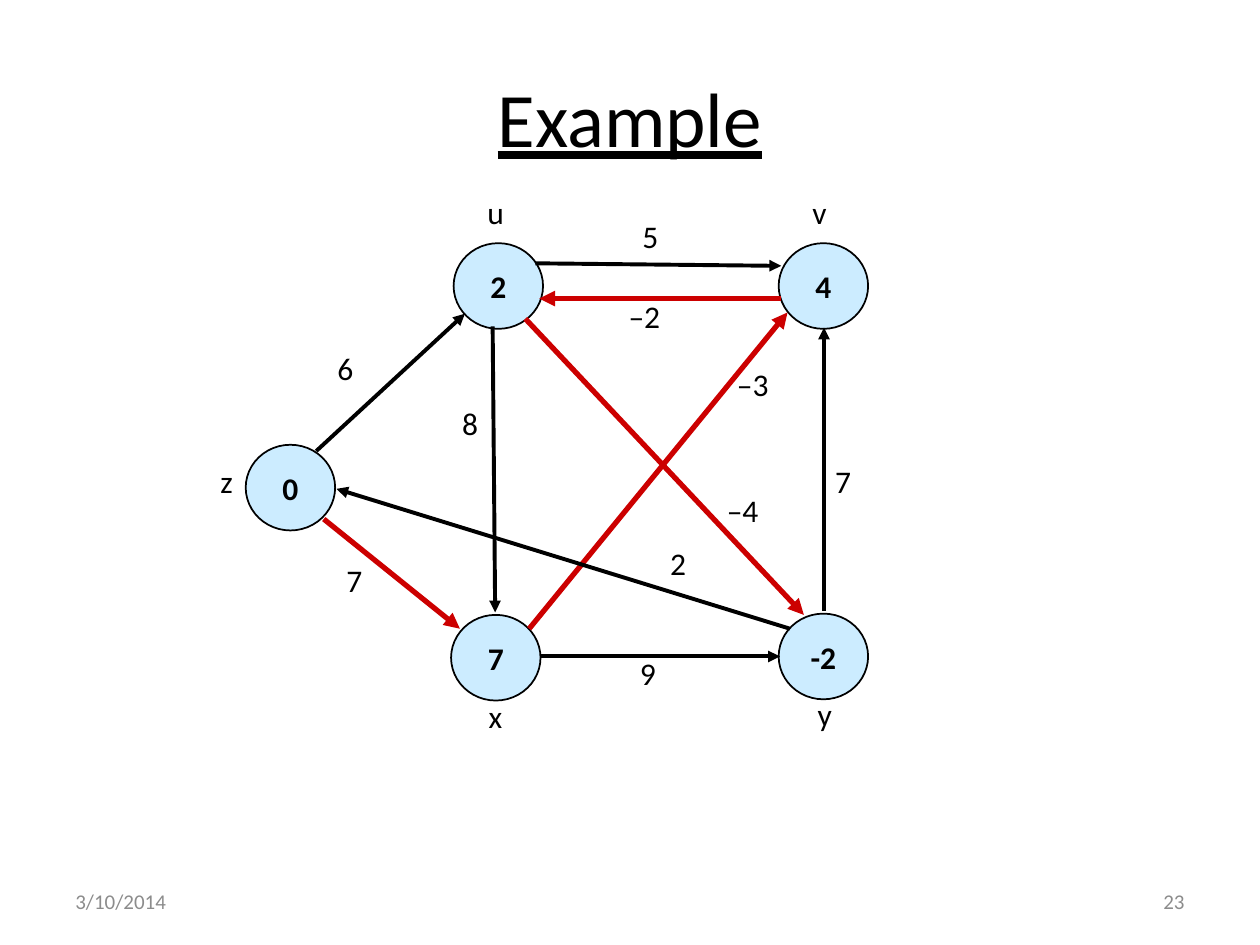
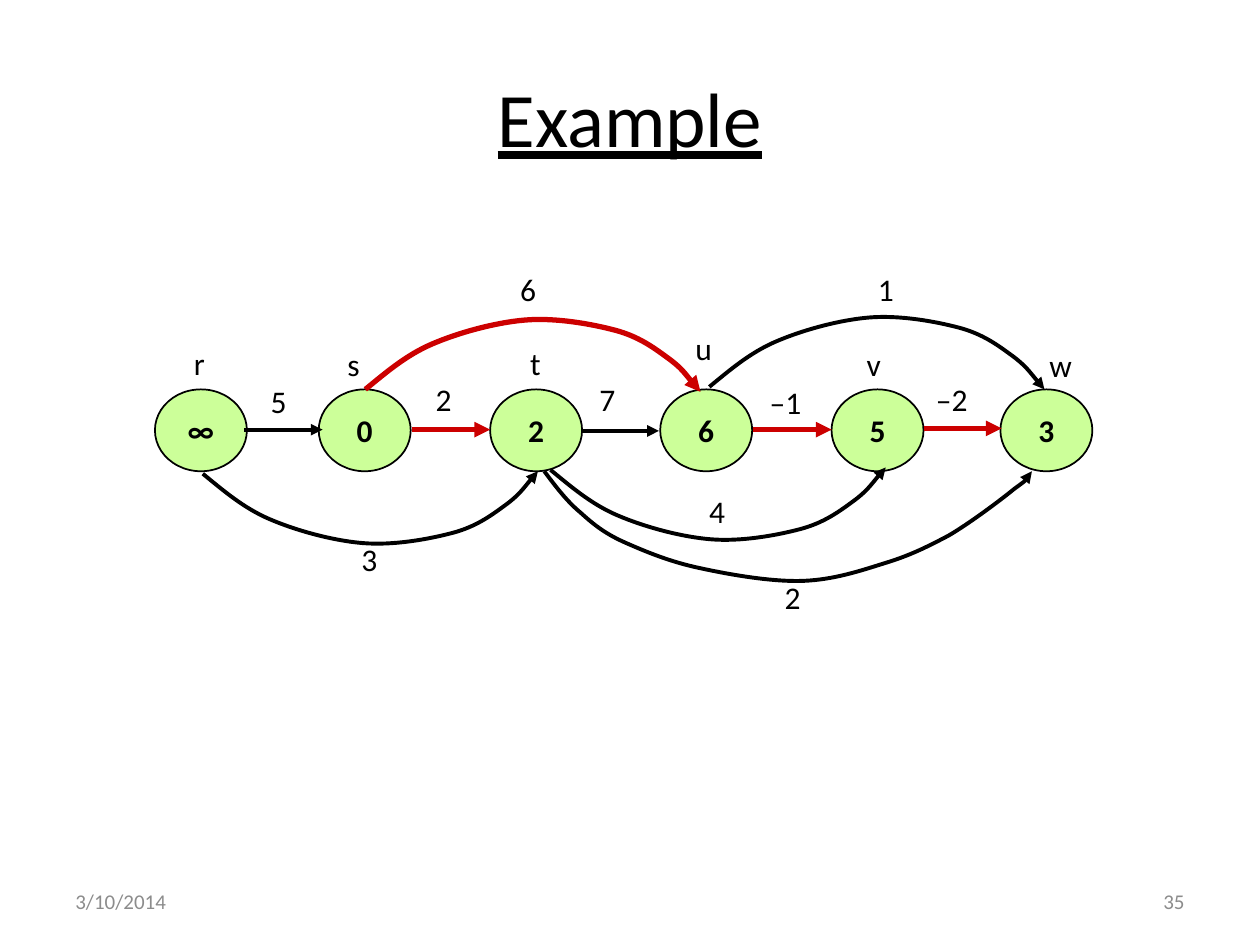
from dataclasses import dataclass
from typing import Any

from lxml.etree import SubElement
from pptx import Presentation
from pptx.dml.color import RGBColor
from pptx.enum.shapes import MSO_CONNECTOR, MSO_SHAPE
from pptx.enum.text import MSO_ANCHOR, MSO_AUTO_SIZE, PP_ALIGN
from pptx.oxml.ns import qn
from pptx.util import Inches, Pt

# Shared look
FONT = "Calibri"
BLACK, RED, GREY = "000000", "CC0000", "8C8C8C"
BLUE_NODE, GREEN_NODE = "CCECFF", "CCFF99"
TITLE = "Example"
DATE = "3/10/2014"

# Long arc over the chain, as offsets from its start: one point, then cubic triples
ARC = [(0, 0), (0.16, -0.13), (0.32, -0.27), (0.53, -0.36),
       (0.74, -0.45), (1.03, -0.53), (1.27, -0.55),
       (1.51, -0.57), (1.79, -0.52), (1.98, -0.47),
       (2.17, -0.42), (2.29, -0.33), (2.4, -0.25),
       (2.51, -0.17), (2.58, -0.07), (2.66, 0.02)]
# Widest curve, under the chain from t to w
T_TO_W = [(4.32, 3.74), (4.41, 3.86), (4.5, 3.98), (4.61, 4.07),
          (4.72, 4.17), (4.81, 4.24), (4.97, 4.31),
          (5.13, 4.38), (5.32, 4.46), (5.56, 4.51),
          (5.79, 4.56), (6.13, 4.62), (6.38, 4.61),
          (6.62, 4.6), (6.83, 4.53), (7.02, 4.47),
          (7.22, 4.41), (7.36, 4.34), (7.53, 4.25),
          (7.7, 4.15), (7.94, 3.97), (8.05, 3.88),
          (8.16, 3.8), (8.18, 3.77), (8.19, 3.74)]


@dataclass(frozen=True)
class Node:
    distance: str
    left: float
    top: float


@dataclass(frozen=True)
class Edge:
    start: tuple[float, float]
    end: tuple[float, float]
    chosen: bool = False


@dataclass(frozen=True)
class Curve:
    points: list[tuple[float, float]]
    chosen: bool = False


@dataclass(frozen=True)
class Label:
    text: str
    left: float
    top: float
    width: float = 0.37


def rgb(color: str) -> RGBColor:
    return RGBColor.from_string(color)


def write(shape: Any, text: str, *, size: int = 18, color: str = BLACK,
          bold: bool = False, underline: bool = False, wrap: bool = True,
          align: PP_ALIGN = PP_ALIGN.LEFT,
          anchor: MSO_ANCHOR = MSO_ANCHOR.MIDDLE) -> None:
    frame = shape.text_frame
    frame.text = text
    frame.word_wrap = wrap
    frame.vertical_anchor = anchor
    paragraph = frame.paragraphs[0]
    paragraph.alignment = align
    font = paragraph.runs[0].font
    font.name, font.size = FONT, Pt(size)
    font.bold, font.underline = bold, underline
    font.color.rgb = rgb(color)


def add_text(slide: Any, text: str, left: float, top: float, width: float,
             height: float, **style: Any) -> Any:
    box = slide.shapes.add_textbox(Inches(left), Inches(top), Inches(width), Inches(height))
    write(box, text, **style)
    return box


def add_label(slide: Any, label: Label) -> None:
    box = add_text(slide, label.text, label.left, label.top, label.width, 0.5,
                   wrap=False, anchor=MSO_ANCHOR.TOP)
    box.text_frame.auto_size = MSO_AUTO_SIZE.SHAPE_TO_FIT_TEXT


def add_node(slide: Any, node: Node, width: float, height: float, fill: str) -> None:
    circle = slide.shapes.add_shape(MSO_SHAPE.OVAL, Inches(node.left), Inches(node.top),
                                    Inches(width), Inches(height))
    circle.shadow.inherit = False
    circle.fill.solid()
    circle.fill.fore_color.rgb = rgb(fill)
    circle.line.color.rgb = rgb(BLACK)
    circle.line.width = Pt(1)
    write(circle, node.distance, bold=True, wrap=False, align=PP_ALIGN.CENTER)


def style_arrow(arrow: Any, chosen: bool) -> None:
    """Chosen edges are red and thicker; every edge ends in an arrowhead."""
    arrow.line.color.rgb = rgb(RED if chosen else BLACK)
    arrow.line.width = Pt(3 if chosen else 2.25)
    outline = arrow.element.xpath("./p:spPr/a:ln")[0]
    SubElement(outline, qn("a:tailEnd"), type="triangle")


def add_edge(slide: Any, edge: Edge) -> None:
    arrow = slide.shapes.add_connector(
        MSO_CONNECTOR.STRAIGHT, *(Inches(value) for value in edge.start + edge.end))
    style_arrow(arrow, edge.chosen)
    SubElement(arrow.element.xpath("./p:spPr")[0], qn("a:effectLst"))


def add_curve(slide: Any, curve: Curve) -> None:
    points = [(Inches(x), Inches(y)) for x, y in curve.points]
    builder = slide.shapes.build_freeform(*points[0])
    builder.add_line_segments(points[1:], close=False)
    arrow = builder.convert_to_shape()
    arrow.shadow.inherit = False
    arrow.fill.background()
    # Every three straight segments become one cubic segment
    segments = arrow.element.xpath(".//a:lnTo")
    outline = segments[0].getparent()
    for first in range(0, len(segments), 3):
        cubic = SubElement(outline, qn("a:cubicBezTo"))
        for segment in segments[first:first + 3]:
            cubic.append(segment[0])
            outline.remove(segment)
    style_arrow(arrow, curve.chosen)


def arc(x: float, y: float, below: bool = False) -> list[tuple[float, float]]:
    side = -1 if below else 1
    return [(x + dx, y + side * dy) for dx, dy in ARC]


def start_slide(deck: Any, number: int) -> Any:
    slide = deck.slides.add_slide(deck.slide_layouts[5])
    title = slide.shapes.title
    title.left, title.top = Inches(0.5), Inches(0.3)
    title.width, title.height = Inches(9), Inches(1.25)
    write(title, TITLE, size=44, underline=True, align=PP_ALIGN.CENTER)
    # Footer
    add_text(slide, DATE, 0.5, 6.95, 2.33, 0.4, size=12, color=GREY)
    add_text(slide, str(number), 7.17, 6.95, 2.33, 0.4, size=12, color=GREY,
             align=PP_ALIGN.RIGHT)
    return slide


def draw_graph(slide: Any, nodes: list[Node], node_size: tuple[float, float], fill: str,
               edges: list[Edge], curves: list[Curve], labels: list[Label]) -> None:
    for node in nodes:
        add_node(slide, node, *node_size, fill)
    for edge in edges:
        add_edge(slide, edge)
    for curve in curves:
        add_curve(slide, curve)
    for label in labels:
        add_label(slide, label)


def build_cyclic_graph(deck: Any) -> None:
    nodes = [Node("0", 1.95, 3.53), Node("-2", 6.18, 4.87), Node("7", 3.58, 4.88),
             Node("4", 6.18, 1.93), Node("2", 3.6, 1.93)]
    edges = [
        Edge((2.51, 3.58), (3.69, 2.49)),
        Edge((2.57, 4.12), (3.65, 4.99), chosen=True),
        Edge((3.91, 2.59), (3.93, 4.86)),
        Edge((6.54, 4.85), (6.54, 2.6)),
        Edge((4.29, 5.21), (6.19, 5.21)),
        Edge((4.25, 2.09), (6.2, 2.11)),
        Edge((4.2, 4.99), (6.25, 2.48), chosen=True),
        Edge((6.27, 4.99), (2.67, 3.88)),
        Edge((6.2, 2.37), (4.28, 2.37), chosen=True),
        Edge((4.17, 2.53), (6.38, 4.88), chosen=True),
    ]
    vertex_names = [Label("z", 1.65, 3.62, 0.35), Label("u", 3.77, 1.48),
                    Label("v", 6.35, 1.48), Label("x", 3.78, 5.48), Label("y", 6.39, 5.47)]
    weights = [Label("6", 2.58, 2.72), Label("5", 5, 1.67), Label("–3", 5.75, 2.85, 0.53),
               Label("9", 4.98, 5.14), Label("7", 6.53, 3.62), Label("7", 2.65, 4.4),
               Label("8", 3.57, 3.16), Label("–2", 4.89, 2.31, 0.53),
               Label("–4", 5.67, 3.85, 0.53), Label("2", 5.22, 4.27)]
    draw_graph(start_slide(deck, 23), nodes, (0.71, 0.68), BLUE_NODE,
               edges, [], vertex_names + weights)


def build_acyclic_graph(deck: Any) -> None:
    lefts = [1.23, 2.53, 3.89, 5.24, 6.6, 7.94]
    nodes = [Node(distance, left, 3.09) for distance, left in zip("∞02653", lefts)]
    edges = [
        Edge((1.94, 3.41), (2.56, 3.41)),
        Edge((3.27, 3.41), (3.89, 3.41), chosen=True),
        Edge((4.62, 3.42), (5.23, 3.42)),
        Edge((5.98, 3.41), (6.6, 3.41), chosen=True),
        Edge((7.33, 3.4), (7.95, 3.4), chosen=True),
    ]
    curves = [Curve(arc(2.9, 3.09), chosen=True), Curve(arc(5.63, 3.07)),
              Curve(arc(1.61, 3.76, below=True)), Curve(arc(4.37, 3.73, below=True)),
              Curve(T_TO_W)]
    vertex_names = [Label("r", 1.44, 2.68, 0.31), Label("s", 2.66, 2.69, 0.33),
                    Label("t", 4.11, 2.68, 0.29), Label("u", 5.42, 2.56),
                    Label("v", 6.78, 2.69), Label("w", 8.23, 2.7, 0.44)]
    weights = [Label("5", 2.05, 2.98), Label("2", 3.36, 2.97), Label("7", 4.66, 2.97),
               Label("–1", 6.01, 2.99, 0.53), Label("–2", 7.33, 2.97, 0.53),
               Label("6", 4.03, 2.09), Label("1", 6.87, 2.09), Label("3", 2.77, 4.24),
               Label("2", 6.13, 4.54), Label("4", 5.53, 3.86)]
    draw_graph(start_slide(deck, 35), nodes, (0.73, 0.65), GREEN_NODE,
               edges, curves, vertex_names + weights)


def main() -> None:
    deck = Presentation()
    deck.slide_width, deck.slide_height = Inches(10), Inches(7.5)
    build_cyclic_graph(deck)
    build_acyclic_graph(deck)
    deck.save("out.pptx")


if __name__ == "__main__":
    main()
